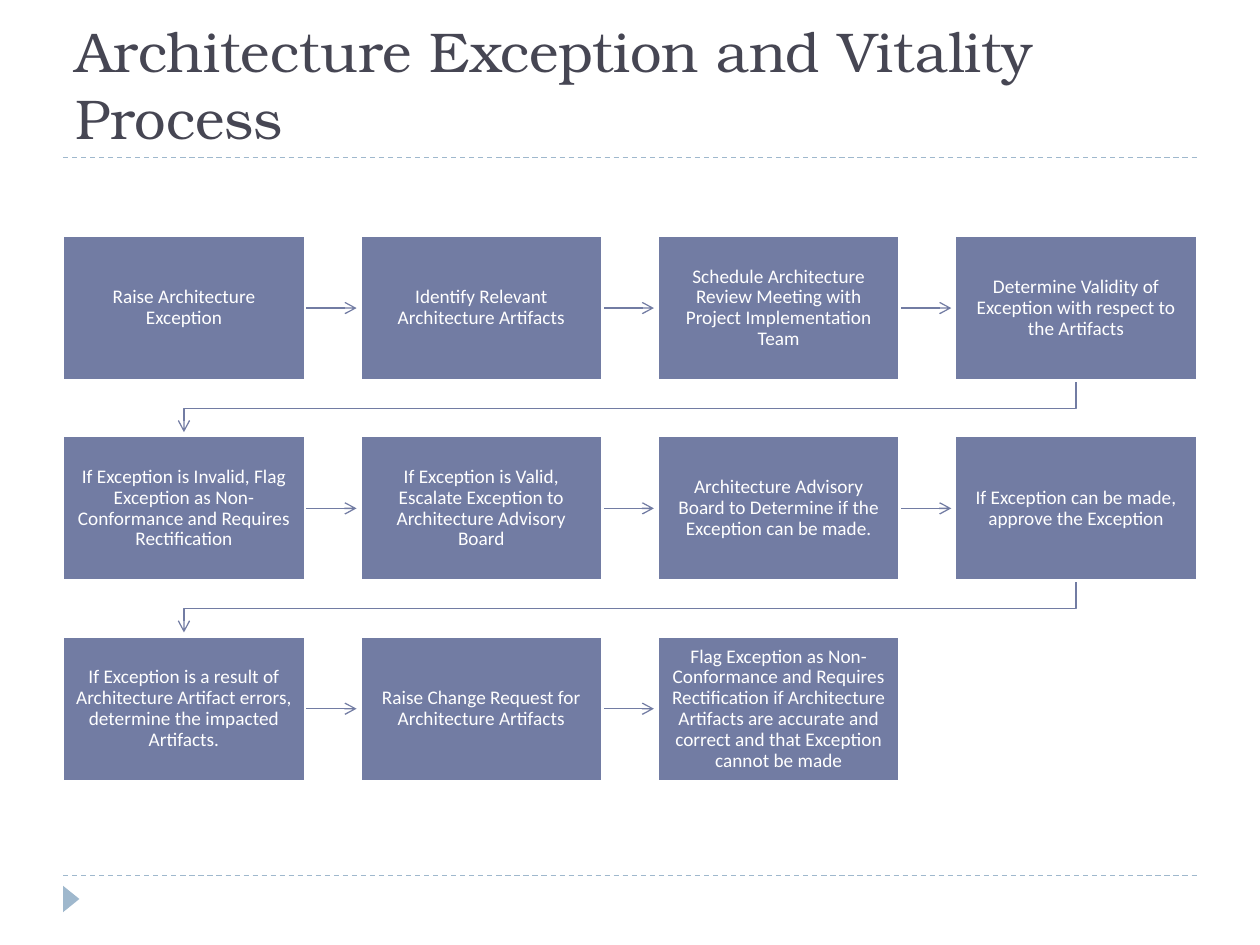
import itertools
from dataclasses import dataclass

import pptx
import pptx.dml.color
import pptx.enum.dml
import pptx.enum.shapes
import pptx.enum.text
import pptx.oxml
import pptx.oxml.ns
import pptx.util

TITLE = "Architecture Exception and Vitality Process"
STEPS = [
    "Raise Architecture Exception",
    "Identify Relevant Architecture Artifacts",
    "Schedule Architecture Review Meeting with Project Implementation Team",
    "Determine Validity of Exception with respect to the Artifacts",
    "If Exception is Invalid, Flag Exception as Non-Conformance and Requires Rectification",
    "If Exception is Valid, Escalate Exception to Architecture Advisory Board",
    "Architecture Advisory Board to Determine if the Exception can be made.",
    "If Exception can be made, approve the Exception",
    "If Exception is a result of Architecture Artifact errors, determine the impacted Artifacts.",
    "Raise Change Request for Architecture Artifacts",
    "Flag Exception as Non-Conformance and Requires Rectification if Architecture Artifacts "
    "are accurate and correct and that Exception cannot be made",
]


@dataclass(frozen=True)
class Theme:
    title_color: str = "464653"
    step_color: str = "727CA3"
    accent_color: str = "9FB8CD"
    white: str = "FFFFFF"
    title_font: str = "TeX Gyre Bonum"
    body_font: str = "Calibri"
    title_size: int = 32
    body_size: int = 11
    thin: float = 0.75
    border: float = 1.5


@dataclass(frozen=True)
class Grid:
    columns: int = 4
    left: float = 0.5
    top: float = 1.87
    column_pitch: float = 2.36
    row_pitch: float = 1.59
    width: float = 1.92
    height: float = 1.15
    arrow_gap: float = 0.03

    def cell(self, index):
        row, column = divmod(index, self.columns)
        return self.left + column * self.column_pitch, self.top + row * self.row_pitch


class SlideBuilder:
    def __init__(self, page, theme, grid):
        self.page = page
        self.theme = theme
        self.grid = grid

    def color(self, value):
        return pptx.dml.color.RGBColor.from_string(value)

    def style_line(self, line, color, width):
        line.color.rgb = self.color(color)
        line.width = pptx.util.Pt(width)

    def style_font(self, font, name, size, color):
        font.name = name
        font.size = pptx.util.Pt(size)
        font.color.rgb = self.color(color)

    def title(self, text):
        title = self.page.shapes.title
        title.left, title.top, title.width, title.height = map(
            pptx.util.Inches, (0.5, 0.17, 9, 1.08))
        frame = title.text_frame
        frame.text = text
        frame.word_wrap = True
        frame.auto_size = pptx.enum.text.MSO_AUTO_SIZE.NONE
        frame.vertical_anchor = pptx.enum.text.MSO_ANCHOR.BOTTOM
        para = frame.paragraphs[0]
        para.alignment = pptx.enum.text.PP_ALIGN.LEFT
        self.style_font(para.font, self.theme.title_font, self.theme.title_size,
                        self.theme.title_color)

    def connector(self, start, end, color):
        connector = self.page.shapes.add_connector(
            pptx.enum.shapes.MSO_CONNECTOR.STRAIGHT, *map(pptx.util.Inches, start + end))
        self.style_line(connector.line, color, self.theme.thin)
        connector._element.spPr.append(pptx.oxml.parse_xml(
            f"<a:effectLst {pptx.oxml.ns.nsdecls('a')}/>"))
        return connector

    def divider(self, top):
        divider = self.connector((0.5, top), (9.5, top), self.theme.accent_color)
        divider.line.dash_style = pptx.enum.dml.MSO_LINE.DASH

    def shape(self, kind, left, top, width, height, color):
        shape = self.page.shapes.add_shape(
            kind, *map(pptx.util.Inches, (left, top, width, height)))
        shape.shadow.inherit = False
        shape.fill.solid()
        shape.fill.fore_color.rgb = self.color(color)
        return shape

    def footer_marker(self):
        marker = self.shape(pptx.enum.shapes.MSO_SHAPE.ISOSCELES_TRIANGLE,
                            0.46, 7.07, 0.21, 0.13, self.theme.accent_color)
        marker.rotation = 90
        marker.line.fill.background()

    def step(self, index, text):
        box = self.shape(pptx.enum.shapes.MSO_SHAPE.RECTANGLE, *self.grid.cell(index),
                         self.grid.width, self.grid.height, self.theme.step_color)
        self.style_line(box.line, self.theme.white, self.theme.border)
        frame = box.text_frame
        frame.text = text
        frame.word_wrap = True
        frame.vertical_anchor = pptx.enum.text.MSO_ANCHOR.MIDDLE
        inset = pptx.util.Inches(0.09)
        frame.margin_left = frame.margin_right = inset
        frame.margin_top = frame.margin_bottom = inset
        para = frame.paragraphs[0]
        para.alignment = pptx.enum.text.PP_ALIGN.CENTER
        para.line_spacing = 0.9
        self.style_font(para.font, self.theme.body_font, self.theme.body_size, self.theme.white)

    def arrowhead(self, arrow):
        arrow.get_or_add_ln().append(pptx.oxml.parse_xml(
            f"<a:tailEnd {pptx.oxml.ns.nsdecls('a')} type='arrow'/>"))

    def row_arrow(self, source, target):
        left, top = self.grid.cell(source)
        middle = top + self.grid.height / 2
        end = self.grid.cell(target)[0] - self.grid.arrow_gap
        self.arrowhead(self.connector((left + self.grid.width, middle), (end, middle),
                                      self.theme.step_color))

    def wrap_arrow(self, source, target):
        half = self.grid.width / 2
        start_x, start_y = self.grid.cell(source)
        end_x, end_y = self.grid.cell(target)
        start_x, end_x = start_x + half, end_x + half
        start_y += self.grid.height
        turn = (start_y + end_y) / 2
        corners = [(start_x, start_y), (start_x, turn), (end_x, turn),
                   (end_x, end_y - self.grid.arrow_gap)]
        start, *others = [tuple(map(pptx.util.Inches, corner)) for corner in corners]
        builder = self.page.shapes.build_freeform(*start)
        builder.add_line_segments(others, close=False)
        arrow = builder.convert_to_shape()
        arrow.shadow.inherit = False
        arrow.fill.background()
        self.style_line(arrow.line, self.theme.step_color, self.theme.thin)
        self.arrowhead(arrow)

    def flow(self, steps):
        for source, target in itertools.pairwise(range(len(steps))):
            wraps = target % self.grid.columns == 0
            draw = self.wrap_arrow if wraps else self.row_arrow
            draw(source, target)
        for index, text in enumerate(steps):
            self.step(index, text)


def main():
    deck = pptx.Presentation()
    deck.slide_width = pptx.util.Inches(10)
    deck.slide_height = pptx.util.Inches(7.5)
    page = deck.slides.add_slide(deck.slide_layouts.get_by_name("Title Only"))
    builder = SlideBuilder(page, Theme(), Grid())
    builder.divider(6.95)
    builder.divider(1.25)
    builder.footer_marker()
    builder.title(TITLE)
    builder.flow(STEPS)
    deck.save("out.pptx")


if __name__ == "__main__":
    main()
